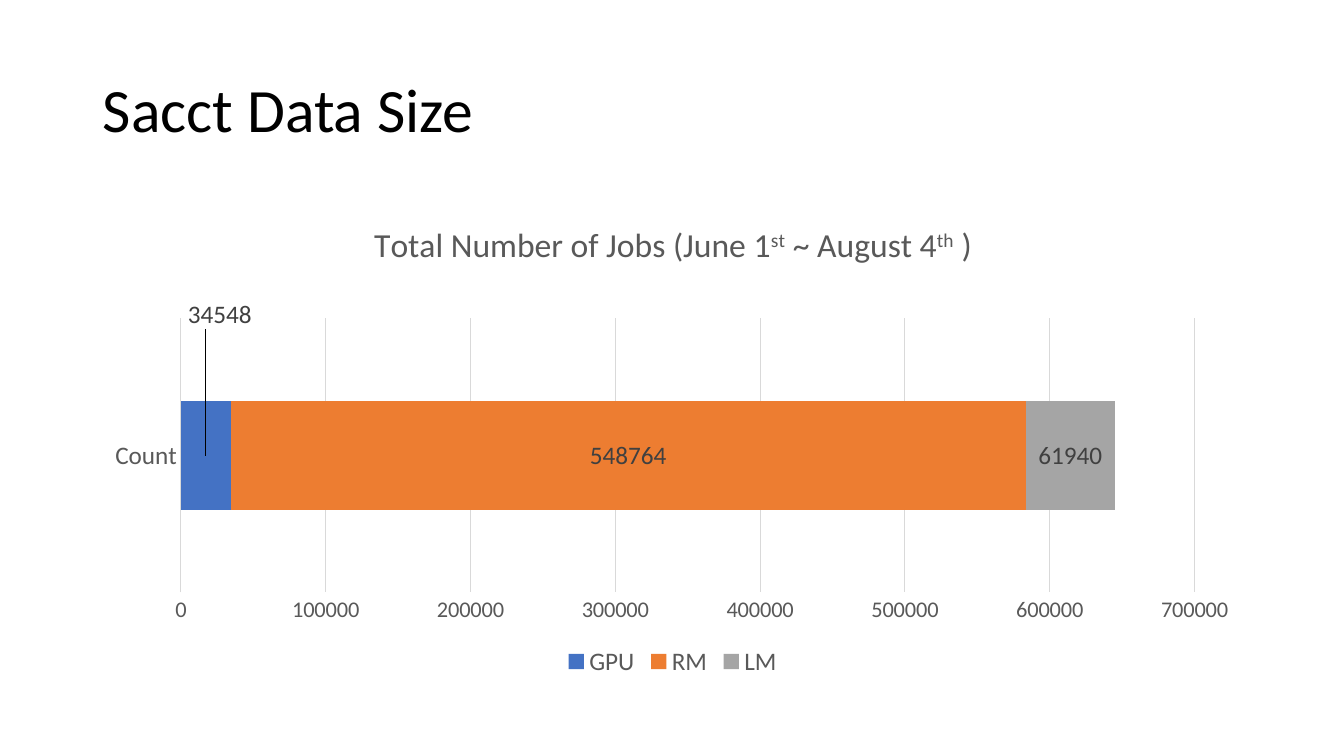
from dataclasses import dataclass

from lxml import etree
from pptx import Presentation
from pptx import util as u
from pptx.chart.data import CategoryChartData
from pptx.dml.color import RGBColor
from pptx.enum import chart as ch
from pptx.enum import text
from pptx.oxml.ns import qn


@dataclass(frozen=True)
class Theme:
    font: str = "Calibri"
    ink: str = "000000"
    muted: str = "595959"
    label: str = "404040"
    grid: str = "D9D9D9"
    title_size: int = 44
    chart_title_size: int = 24
    text_size: int = 18
    scale_size: int = 16


THEME = Theme()
WIDTH, HEIGHT = u.Inches(13.33), u.Inches(7.5)
JOBS = [("GPU", 34548, "4472C4"), ("RM", 548764, "ED7D31"), ("LM", 61940, "A5A5A5")]
# Heading runs with their baseline shift in thousandths of a percent
HEADING = [("Total Number of Jobs (June 1", 0), ("st", 30000),
           (" ~ August 4", 0), ("th", 30000), (" )", 0)]


def share_box(left, top, width, height):
    """Turn shares of the slide's size into lengths."""
    return (int(WIDTH * left), int(HEIGHT * top), int(WIDTH * width), int(HEIGHT * height))


def set_font(font, size, color):
    font.name, font.size, font.bold = THEME.font, u.Pt(size), False
    font.color.rgb = RGBColor.from_string(color)


def set_line(line, color):
    line.color.rgb = RGBColor.from_string(color)
    line.width = u.Pt(0.75)


def set_layout(parent, after, **settings):
    """Place a chart part by shares of the chart's size."""
    for old in parent.findall(qn("c:layout")):
        parent.remove(old)
    layout = etree.Element(qn("c:layout"))
    manual = etree.SubElement(layout, qn("c:manualLayout"))
    for name, value in settings.items():
        etree.SubElement(manual, qn(f"c:{name}")).set("val", str(value))
    if after is None:
        parent.insert(0, layout)
    else:
        parent.find(qn(after)).addnext(layout)


def add_title(slide, box):
    title = slide.shapes.title
    title.left, title.top, title.width, title.height = box
    frame = title.text_frame
    frame.word_wrap = True
    frame.auto_size = text.MSO_AUTO_SIZE.NONE
    frame.vertical_anchor = text.MSO_ANCHOR.MIDDLE
    paragraph = frame.paragraphs[0]
    paragraph.alignment = text.PP_ALIGN.LEFT
    paragraph.line_spacing = 0.9
    run = paragraph.add_run()
    run.text = "Sacct Data Size"
    set_font(run.font, THEME.title_size, THEME.ink)


def add_heading(chart):
    chart.has_title = True
    heading = chart.chart_title
    paragraph = heading.text_frame.paragraphs[0]
    for words, baseline in HEADING:
        run = paragraph.add_run()
        run.text = words
        set_font(run.font, THEME.chart_title_size, THEME.muted)
        if baseline:
            run.font._element.set("baseline", str(baseline))
    set_layout(heading._element, "c:tx", xMode="edge", yMode="edge", x=0.24, y=0.04)


def format_axes(chart):
    count_axis, jobs_axis = chart.category_axis, chart.value_axis
    for axis, size in ((count_axis, THEME.text_size), (jobs_axis, THEME.scale_size)):
        axis.major_tick_mark = axis.minor_tick_mark = ch.XL_TICK_MARK.NONE
        set_font(axis.tick_labels.font, size, THEME.muted)
    set_line(count_axis.format.line, THEME.grid)
    jobs_axis.format.line.fill.background()
    jobs_axis.has_major_gridlines = True
    set_line(jobs_axis.major_gridlines.format.line, THEME.grid)
    jobs_axis.minimum_scale, jobs_axis.maximum_scale = 0, 700000
    jobs_axis.major_unit = 100000


def format_bars(plot):
    plot.gap_width, plot.overlap = 150, 100
    plot.vary_by_categories = False
    for series, (_, _, color) in zip(plot.series, JOBS):
        series.format.fill.solid()
        series.format.fill.fore_color.rgb = RGBColor.from_string(color)
        labels = series.data_labels
        labels.show_value = True
        labels.position = ch.XL_LABEL_POSITION.CENTER
        set_font(labels.font, THEME.text_size, THEME.label)

    # The narrow GPU bar carries its value above
    gpu = plot.series[0]
    gpu_label = gpu.points[0].data_label
    set_font(gpu_label.font, THEME.text_size, THEME.label)
    gpu_label.position = ch.XL_LABEL_POSITION.CENTER
    set_layout(next(gpu._element.iter(qn("c:dLbl"))), "c:idx", x=0.012, y=-0.294)


def add_jobs_chart(slide, box):
    data = CategoryChartData()
    data.categories = ["Count"]
    for name, jobs, _ in JOBS:
        data.add_series(name, [jobs])
    chart = slide.shapes.add_chart(ch.XL_CHART_TYPE.BAR_STACKED, *box, data).chart
    set_font(chart.font, 10, THEME.ink)
    add_heading(chart)
    format_axes(chart)
    format_bars(chart.plots[0])

    # Legend below, plot area under the heading
    chart.has_legend = True
    chart.legend.position = ch.XL_LEGEND_POSITION.BOTTOM
    chart.legend.include_in_layout = False
    set_font(chart.legend.font, THEME.text_size, THEME.muted)
    plot_area = next(chart._chartSpace.iter(qn("c:plotArea")))
    set_layout(plot_area, None, layoutTarget="inner", xMode="edge", yMode="edge",
               x=0.076, y=0.243, w=0.874, h=0.571)


def main():
    deck = Presentation()
    deck.slide_width, deck.slide_height = WIDTH, HEIGHT
    slide = deck.slides.add_slide(deck.slide_layouts[5])
    left, width = 0.069, 0.863
    add_title(slide, share_box(left, 0.053, width, 0.193))
    add_jobs_chart(slide, share_box(left, 0.267, width, 0.635))
    deck.save("out.pptx")


if __name__ == "__main__":
    main()
